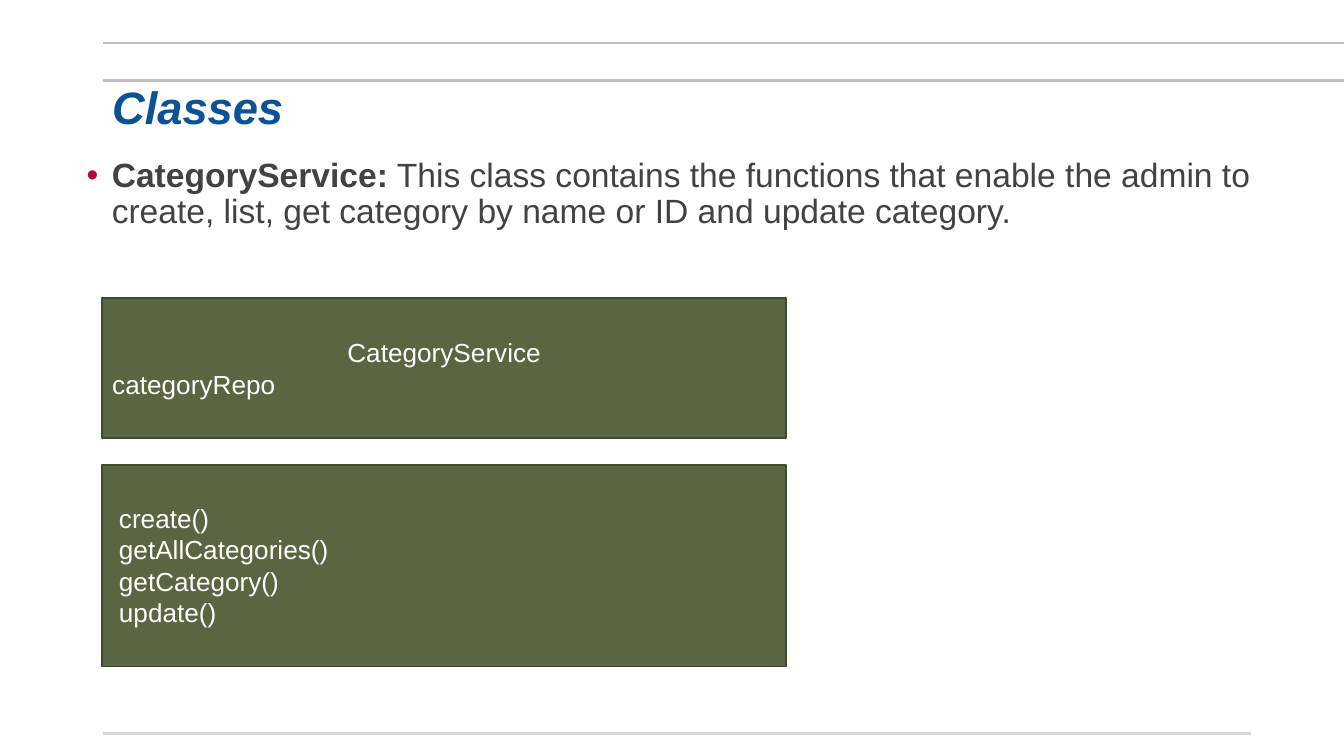
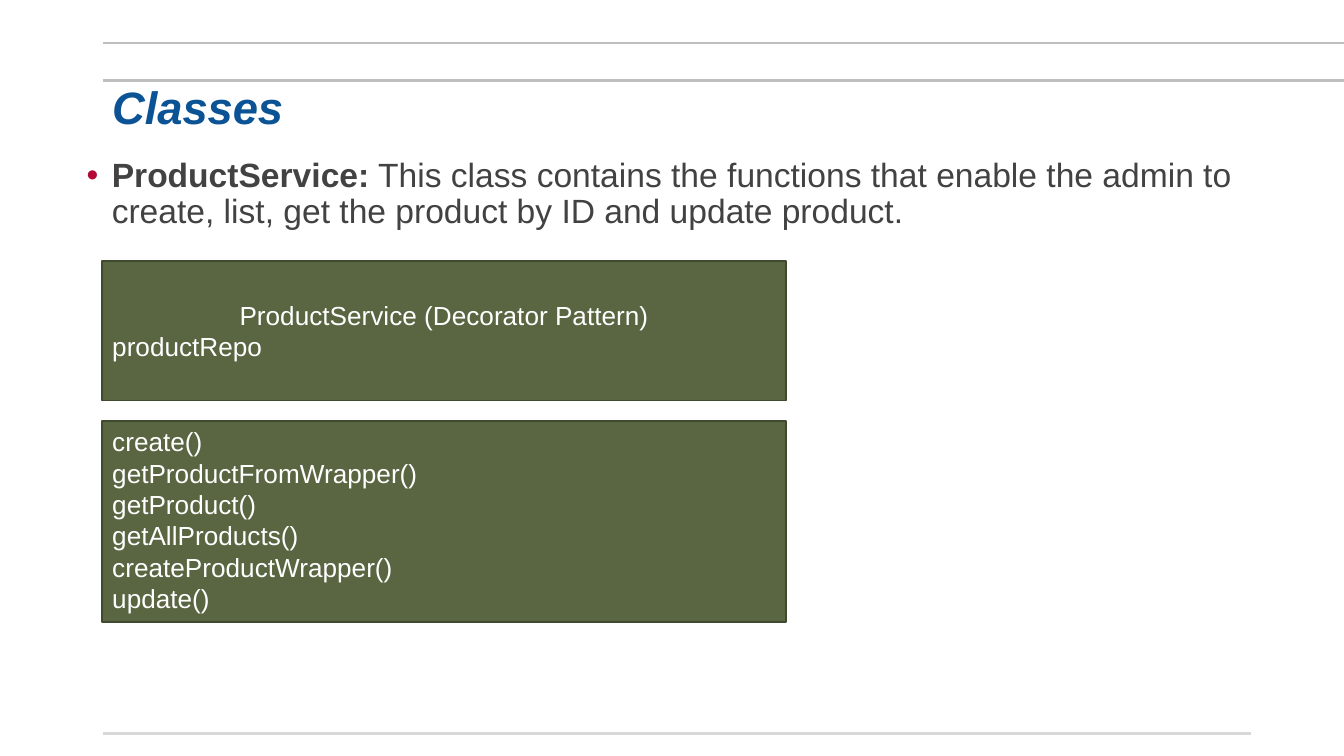
import pptx
import pptx.dml.color
import pptx.enum.shapes
import pptx.enum.text
import pptx.oxml
import pptx.oxml.ns
import pptx.util
from lxml import etree

Pt = pptx.util.Pt
ALIGN = pptx.enum.text.PP_ALIGN
ANCHOR = pptx.enum.text.MSO_ANCHOR
AUTO_SIZE = pptx.enum.text.MSO_AUTO_SIZE

LEFT = 54.7
RULE_LEFT = 55.4
BOX_WIDTH = 366.5
HEADER_HEIGHT = 74.9
METHODS_HEIGHT = 108

RULES = [(43.2, 720, "BFBFBF"), (23, 720, "BFBFBF"), (393.1, 670.3, "D8D8D8")]
FRAME_STYLE = {
    "word_wrap": True,
    "margin_left": Pt(5.4),
    "margin_right": Pt(5.4),
    "margin_top": Pt(2.7),
    "margin_bottom": Pt(2.7),
}
TITLE_FONT = {"name": "Arial", "size": Pt(24.3), "bold": True, "italic": True}
BODY_FONT = {"name": "Arial", "size": Pt(18)}
BOX_FONT = {"name": "Arial", "size": Pt(14)}

CLASSES = [
    {
        "name": "CategoryService",
        "summary": " This class contains the functions that enable the admin to "
                   "create, list, get category by name or ID and update category.",
        "heading": "CategoryService",
        "field": "categoryRepo",
        "header_top": 159.8,
        "methods_top": 249.1,
        "methods": ["create()", "getAllCategories()", "getCategory()", "update()"],
        "methods_area": (58.3, 266.4, 154.8, 73.4),
    },
    {
        "name": "ProductService",
        "summary": " This class contains the functions that enable the admin to "
                   "create, list, get the product by ID and update product.",
        "heading": "ProductService (Decorator Pattern)",
        "field": "productRepo",
        "header_top": 139.7,
        "methods_top": 225.4,
        "methods": ["create()", "getProductFromWrapper()", "getProduct()",
                    "getAllProducts()", "createProductWrapper()", "update()"],
        "methods_area": (LEFT, 225.4, 178.6, 124.6),
    },
]


def rgb(value):
    return pptx.dml.color.RGBColor.from_string(value)


def apply(target, values):
    for name, value in values.items():
        setattr(target, name, value)


def add_bullet(paragraph, char, color):
    """Give the paragraph a coloured bullet with a hanging indent."""
    properties = paragraph._p.get_or_add_pPr()
    properties.set("marL", str(Pt(13.5)))
    properties.set("indent", str(-Pt(13.5)))
    qn = pptx.oxml.ns.qn
    bullet_color = etree.SubElement(properties, qn("a:buClr"))
    etree.SubElement(bullet_color, qn("a:srgbClr"), val=color)
    etree.SubElement(properties, qn("a:buFont"), typeface="Arial")
    etree.SubElement(properties, qn("a:buChar"), char=char)


class Deck:
    """Holds the presentation, its shared style and the current slide."""

    def __init__(self):
        self.presentation = pptx.Presentation()
        self.presentation.slide_width = Pt(720)
        self.presentation.slide_height = Pt(405)
        self.slide = None

    def new_slide(self):
        self.slide = self.presentation.slides.add_slide(self.presentation.slide_layouts[6])
        for y, right, color in RULES:
            self.rule(y, right, color)

    def rule(self, y, right, color):
        line = self.slide.shapes.add_connector(
            pptx.enum.shapes.MSO_CONNECTOR.STRAIGHT,
            Pt(RULE_LEFT), Pt(y), Pt(right), Pt(y))
        line.line.color.rgb = rgb(color)
        line.line.width = Pt(1.5)
        etree.SubElement(line._element.spPr, pptx.oxml.ns.qn("a:effectLst"))

    def add_text(self, paragraph, text, font, color, **changes):
        run = paragraph.add_run()
        run.text = text
        apply(run.font, {**font, **changes})
        run.font.color.rgb = rgb(color)

    def text_frame(self, area, **changes):
        frame = self.slide.shapes.add_textbox(*map(Pt, area)).text_frame
        apply(frame, {**FRAME_STYLE, **changes})
        return frame

    def title(self, text):
        frame = self.text_frame((LEFT, 43.2, 614.9, 31), vertical_anchor=ANCHOR.MIDDLE)
        heading = frame.paragraphs[0]
        heading.line_spacing = 0.9
        self.add_text(heading, text, TITLE_FONT, "0B5394")

    def description(self, name, summary):
        frame = self.text_frame((41, 82.1, 642.2, 288.7))
        sentence = frame.paragraphs[0]
        add_bullet(sentence, "•", "B30738")
        sentence.line_spacing = 0.9
        self.add_text(sentence, name + ":", BODY_FONT, "424242", bold=True)
        self.add_text(sentence, summary, BODY_FONT, "424242", bold=False)

    def box(self, top, height):
        panel = self.slide.shapes.add_shape(
            pptx.enum.shapes.MSO_SHAPE.RECTANGLE,
            Pt(LEFT), Pt(top), Pt(BOX_WIDTH), Pt(height))
        panel.shadow.inherit = False
        panel.fill.solid()
        panel.fill.fore_color.rgb = rgb("596641")
        panel.line.color.rgb = rgb("404A2F")
        panel.line.width = Pt(1)
        apply(panel.text_frame, {**FRAME_STYLE, "vertical_anchor": ANCHOR.MIDDLE})
        return panel.text_frame

    def box_lines(self, frame, lines):
        """Fill a frame with (text, alignment) pairs, one a paragraph."""
        for index, (text, alignment) in enumerate(lines):
            paragraph = frame.add_paragraph() if index else frame.paragraphs[0]
            paragraph.alignment = alignment
            self.add_text(paragraph, text, BOX_FONT, "FFFFFF")

    def class_slide(self, info):
        self.new_slide()
        self.description(info["name"], info["summary"])
        self.title("Classes")
        header = self.box(info["header_top"], HEADER_HEIGHT)
        self.box_lines(header, [(info["heading"], ALIGN.CENTER), (info["field"], ALIGN.LEFT)])
        self.box(info["methods_top"], METHODS_HEIGHT)
        methods = self.text_frame(info["methods_area"], auto_size=AUTO_SIZE.SHAPE_TO_FIT_TEXT)
        self.box_lines(methods, [(method, ALIGN.LEFT) for method in info["methods"]])


def main():
    deck = Deck()
    for info in CLASSES:
        deck.class_slide(info)
    deck.presentation.save("out.pptx")


if __name__ == "__main__":
    main()
